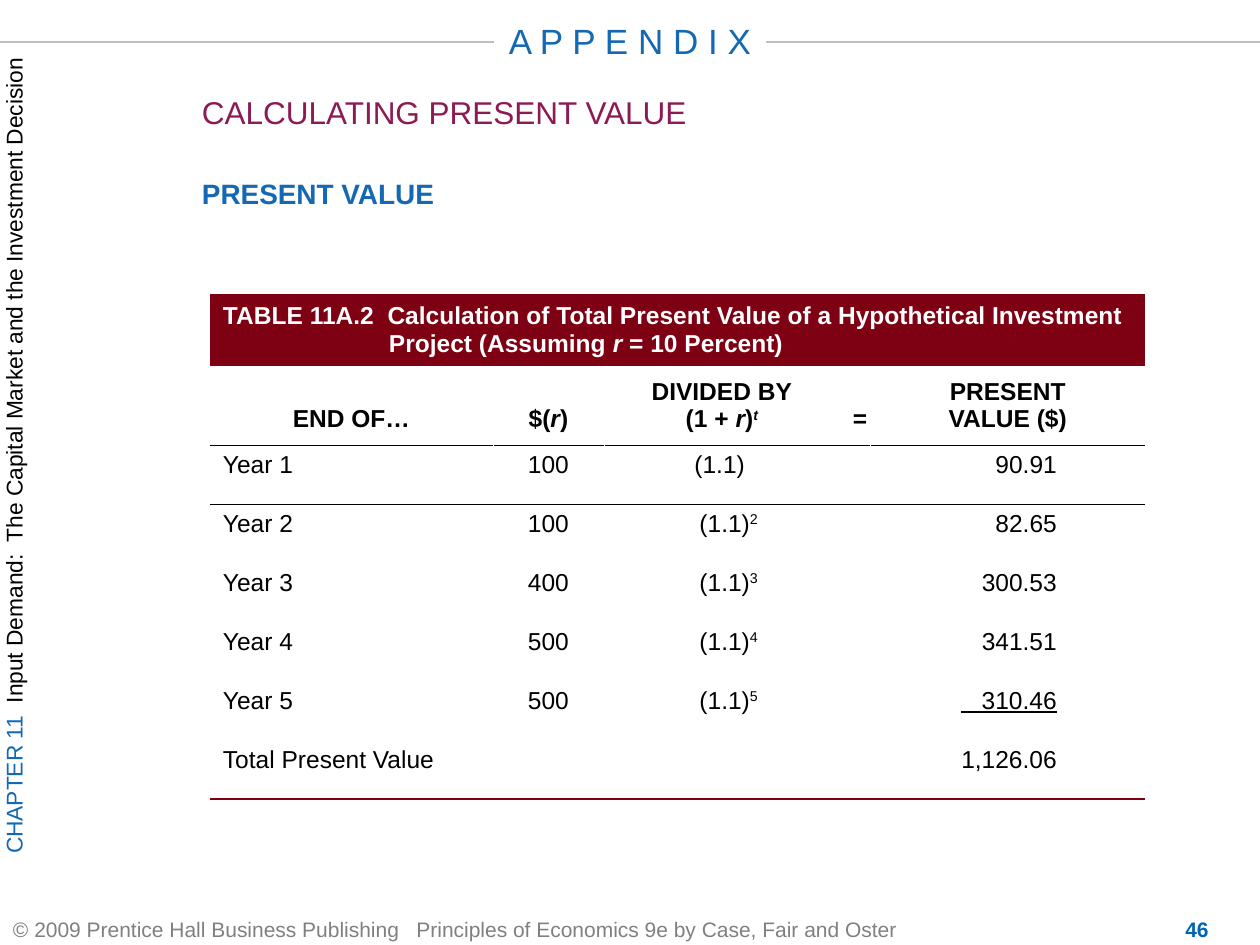
from dataclasses import dataclass
from typing import NamedTuple

from lxml.etree import SubElement
from pptx import Presentation
from pptx.dml.color import RGBColor
from pptx.enum.shapes import MSO_CONNECTOR
from pptx.enum.text import MSO_ANCHOR, MSO_AUTO_SIZE, PP_ALIGN
from pptx.oxml.ns import qn
from pptx.util import Emu, Pt

SCALE = 9144000 / 1260
FONT = "Arial"
HUES = {"blue": "1469B2", "plum": "8C1B54", "red": "7D0013", "page": "0066B3",
        "gray": "808080", "rule": "C0C0C0", "black": "000000", "white": "FFFFFF"}
LEFT, MID, RIGHT = PP_ALIGN.LEFT, PP_ALIGN.CENTER, PP_ALIGN.RIGHT
TOP, CENTER, LOW = MSO_ANCHOR.TOP, MSO_ANCHOR.MIDDLE, MSO_ANCHOR.BOTTOM
NO_STYLE = "{2D5ABB26-0587-4C30-8999-92F81FD0307C}"


class Piece(NamedTuple):
    text: str
    hue: str = "black"
    bold: bool = False
    slant: bool = False
    line: bool = False
    lift: bool = False


class Box(NamedTuple):
    x: int
    y: int
    w: int
    h: int


@dataclass
class Label:
    box: Box
    size: int
    pieces: list[Piece]
    align: PP_ALIGN = LEFT
    anchor: MSO_ANCHOR = TOP
    turn: bool = False


@dataclass
class Year:
    name: str
    cash: str
    rate: str
    power: str
    value: str


def px(n: int) -> Emu:
    return Emu(round(n * SCALE))


def color(name: str) -> RGBColor:
    return RGBColor.from_string(HUES[name])


def write(frame, pieces: list[Piece], size: int, align: PP_ALIGN) -> None:
    para = frame.paragraphs[0]
    para.alignment = align
    for piece in pieces:
        for i, line in enumerate(piece.text.split("\n")):
            if i:
                para.add_line_break()
            run = para.add_run()
            run.text = line
            font = run.font
            font.name, font.size = FONT, Pt(size)
            font.bold, font.italic = piece.bold, piece.slant
            font.underline = piece.line
            font.color.rgb = color(piece.hue)
            if piece.lift:
                run._r.get_or_add_rPr().set("baseline", "30000")
    # Breaks take the size of the text around them
    for gap in para._p.findall(qn("a:br")):
        SubElement(gap, qn("a:rPr")).set("sz", str(size * 100))


def place(shape, label: Label) -> None:
    box, frame = label.box, shape.text_frame
    shape.left, shape.top = px(box.x), px(box.y)
    shape.width, shape.height = px(box.w), px(box.h)
    frame.word_wrap = True
    frame.auto_size = MSO_AUTO_SIZE.NONE
    frame.vertical_anchor = label.anchor
    frame.margin_left = frame.margin_right = px(0 if label.turn else 13)
    frame.margin_top = frame.margin_bottom = px(0 if label.turn else 6)
    if label.turn:
        frame._txBody.bodyPr.set("vert", "vert270")
    write(frame, label.pieces, label.size, label.align)


def rule(slide, start: int, end: int, y: int) -> None:
    line = slide.shapes.add_connector(
        MSO_CONNECTOR.STRAIGHT, px(start), px(y), px(end), px(y))
    line.line.color.rgb = color("rule")
    line.line.width = Pt(0.75)
    SubElement(line._element.spPr, qn("a:effectLst"))


def edge(cell, side: str, hue: str, width: float) -> None:
    prop = cell._tc.get_or_add_tcPr()
    line = prop.makeelement(qn(f"a:{side}"), {"w": str(Pt(width))})
    fill = SubElement(line, qn("a:solidFill"))
    SubElement(fill, qn("a:srgbClr")).set("val", HUES[hue])
    # Borders stand before the fill, in the order they are added
    prop.insert(len([p for p in prop if p.tag.startswith(qn("a:ln"))]), line)


def fill_cell(cell, pieces: list[Piece], align: PP_ALIGN = LEFT,
              anchor: MSO_ANCHOR = TOP, right: int = 13, low: int = 6) -> None:
    cell.margin_left, cell.margin_right = px(13), px(right)
    cell.margin_top, cell.margin_bottom = px(6), px(low)
    cell.vertical_anchor = anchor
    cell.fill.background()
    write(cell.text_frame, pieces, 14, align)


def bold(text: str, slant: bool = False, lift: bool = False) -> Piece:
    return Piece(text, bold=True, slant=slant, lift=lift)


WIDTHS = [283, 111, 236, 31, 274]
HEADS = [
    [bold("END OF…")],
    [bold("$("), bold("r", True), bold(")")],
    [bold("DIVIDED BY\n(1 + "), bold("r", True), bold(")"), bold("t", True, True)],
    [bold("=")],
    [bold("PRESENT\nVALUE ($)")],
]
YEARS = [
    Year("Year 1", "100", "(1.1)", "", "90.91"),
    Year("Year 2", "100", "(1.1)", "2", "82.65"),
    Year("Year 3", "400", "(1.1)", "3", "300.53"),
    Year("Year 4", "500", "(1.1)", "4", "341.51"),
    Year("Year 5", "500", "(1.1)", "5", "   310.46"),
    Year("Total Present Value", "", "", "", "1,126.06"),
]


def draw_table(slide) -> None:
    tall = [72, 79] + [59] * len(YEARS)
    shape = slide.shapes.add_table(len(tall), len(WIDTHS), px(210), px(294),
                                   px(sum(WIDTHS)), px(sum(tall)))
    table = shape.table
    table.first_row = table.horz_banding = False
    table._tbl.tblPr.find(qn("a:tableStyleId")).text = NO_STYLE
    for col, wide in zip(table.columns, WIDTHS):
        col.width = px(wide)
    for row, high in zip(table.rows, tall):
        row.height = px(high)

    # Caption band
    band = table.cell(0, 0)
    band.merge(table.cell(0, len(WIDTHS) - 1))
    parts = [("TABLE 11A.2  Calculation of Total Present Value of a Hypothetical "
              "Investment Project (Assuming ", False),
             ("r", True), (" = 10 Percent)", False)]
    fill_cell(band, [Piece(t, "white", True, s) for t, s in parts], anchor=CENTER)
    band.fill.solid()
    band.fill.fore_color.rgb = color("red")
    hang = band.text_frame.paragraphs[0]._p.get_or_add_pPr()
    hang.set("marL", str(px(166)))
    hang.set("indent", str(-px(166)))

    # Column heads
    for i, head in enumerate(HEADS):
        cell = table.cell(1, i)
        fill_cell(cell, head, MID, LOW, low=12)
        edge(cell, "lnB", "black", 0.45)

    # Years and total
    for r, year in enumerate(YEARS, 2):
        last = year is YEARS[-1]
        rate = [Piece(year.rate)]
        if year.power:
            rate.append(Piece(year.power, lift=True))
        under = year is YEARS[-2]
        cells = [([Piece(year.name)], LEFT, 13),
                 ([Piece(year.cash)], MID, 13),
                 (rate, RIGHT, 82 if year.power else 95),
                 ([Piece("")], LEFT, 13),
                 ([Piece(year.value, line=under)], RIGHT, 88)]
        for c, (pieces, align, right) in enumerate(cells):
            cell = table.cell(r, c)
            fill_cell(cell, pieces, align, right=right)
            if c in (0, 1, 3):
                edge(cell, "lnR", "white", 0.45)
            if r == 2:
                edge(cell, "lnT", "black", 0.45)
            if last:
                edge(cell, "lnB", "red", 1.08)


HEAD = Label(Box(441, 6, 378, 68), 20, [Piece("A P P E N D I X", "blue")], MID, CENTER)
LABELS = [
    Label(Box(0, 10, 52, 892), 13,
          [Piece("CHAPTER 11  ", "blue"),
           Piece("Input Demand:  The Capital Market and the Investment Decision")],
          MID, turn=True),
    Label(Box(0, 913, 1155, 32), 12,
          [Piece("© 2009 Prentice Hall Business Publishing   "
                 "Principles of Economics 9e by Case, Fair and Oster", "gray")],
          anchor=CENTER),
    Label(Box(189, 87, 945, 63), 18, [Piece("CALCULATING PRESENT VALUE", "plum")]),
    Label(Box(189, 171, 494, 63), 16, [Piece("PRESENT VALUE", "blue", True)]),
    Label(Box(1134, 913, 126, 32), 12, [Piece("46", "page", True)], MID, CENTER),
]


def main() -> None:
    deck = Presentation()
    deck.slide_width, deck.slide_height = px(1260), px(945)
    slide = deck.slides.add_slide(deck.slide_layouts[5])
    # Title between two rules
    place(slide.shapes.title, HEAD)
    for start, end in ((0, 494), (766, 1260)):
        rule(slide, start, end, 42)
    # Side text, headings, footer and page number
    for label in LABELS:
        place(slide.shapes.add_textbox(0, 0, 0, 0), label)
    draw_table(slide)
    deck.save("out.pptx")


if __name__ == "__main__":
    main()
